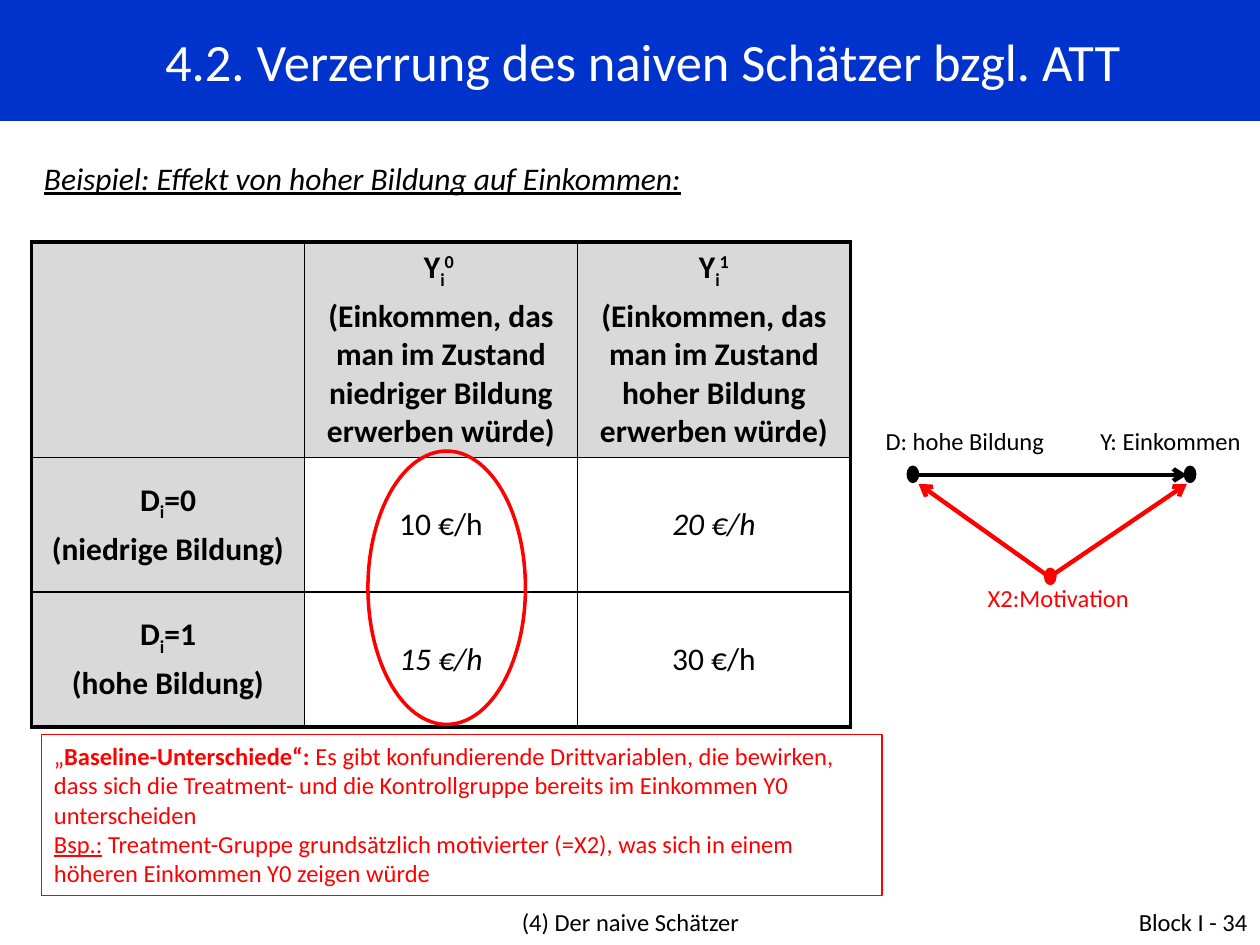
from dataclasses import dataclass, field

from lxml.etree import SubElement
from pptx import Presentation
from pptx.dml.color import RGBColor
from pptx.enum.shapes import MSO_CONNECTOR, MSO_SHAPE
from pptx.enum.text import MSO_ANCHOR, MSO_AUTO_SIZE, PP_ALIGN
from pptx.oxml.ns import qn
from pptx.util import Inches, Pt

BLACK, RED, BLUE, GREY, WHITE = "000000", "FF0000", "0033CC", "D9D9D9", "FFFFFF"
LEFT, MID, RIGHT = PP_ALIGN.LEFT, PP_ALIGN.CENTER, PP_ALIGN.RIGHT
BOLD, ITAL, UNDER = {"bold": True}, {"italic": True}, {"underline": True}
SUB, SUP = {"base": -25}, {"base": 30}

Run = tuple[str, dict]
Para = list[Run]


@dataclass
class Style:
    size: float = 14
    color: str = BLACK
    align: PP_ALIGN = LEFT
    before: int = 0
    font: dict = field(default_factory=dict)


@dataclass
class Label:
    box: tuple[float, float, float, float]
    paras: list[Para]
    style: Style
    grow: bool = True


@dataclass
class Dot:
    left: float
    top: float
    color: str


@dataclass
class Arrow:
    start: tuple[float, float]
    end: tuple[float, float]
    color: str


def rgb(code: str) -> RGBColor:
    return RGBColor.from_string(code)


def write(frame, paras: list[Para], style: Style) -> None:
    """Fill a text frame; 'base' in a run's format is its baseline shift in percent."""
    for num, runs in enumerate(paras):
        para = frame.add_paragraph() if num else frame.paragraphs[0]
        para.alignment = style.align
        if style.before:
            gap = SubElement(para._p.get_or_add_pPr(), qn("a:spcBef"))
            SubElement(gap, qn("a:spcPct"), val=str(style.before * 1000))
        for text, extra in runs:
            run = para.add_run()
            run.text = text
            run.font.color.rgb = rgb(style.color)
            look = {"name": "Calibri", "size": Pt(style.size)} | style.font | extra
            base = look.pop("base", 0)
            for key, val in look.items():
                setattr(run.font, key, val)
            if base:
                run.font._element.set("baseline", str(base * 1000))


def add_label(slide, label: Label) -> None:
    frame = slide.shapes.add_textbox(*map(Inches, label.box)).text_frame
    frame.word_wrap = True
    frame.auto_size = MSO_AUTO_SIZE.SHAPE_TO_FIT_TEXT if label.grow else MSO_AUTO_SIZE.NONE
    write(frame, label.paras, label.style)


def add_form(slide, kind, box, fill=None, line=None, width=0.75):
    form = slide.shapes.add_shape(kind, *map(Inches, box))
    form.shadow.inherit = False
    if fill:
        form.fill.solid()
        form.fill.fore_color.rgb = rgb(fill)
    else:
        form.fill.background()
    if line:
        form.line.color.rgb = rgb(line)
        form.line.width = Pt(width)
    else:
        form.line.fill.background()
    return form


def add_arrow(slide, arrow: Arrow) -> None:
    ends = map(Inches, arrow.start + arrow.end)
    link = slide.shapes.add_connector(MSO_CONNECTOR.STRAIGHT, *ends)
    link.line.color.rgb = rgb(arrow.color)
    link.line.width = Pt(2.5)
    SubElement(link.line._get_or_add_ln(), qn("a:tailEnd"), type="arrow")
    SubElement(link._element.spPr, qn("a:effectLst"))


def add_edges(cell, row: int, col: int, last: int) -> None:
    """Draw the four borders of a cell, thick on the outside of the table."""
    outer = {"L": col == 0, "R": col == last, "T": row == 0, "B": row == last}
    props = cell._tc.get_or_add_tcPr()
    for spot, (side, thick) in enumerate(outer.items()):
        edge = SubElement(props, qn(f"a:ln{side}"), w=str(Pt(2.25 if thick else 1)))
        fill = SubElement(edge, qn("a:solidFill"))
        SubElement(fill, qn("a:srgbClr"), val=BLACK)
        props.insert(spot, edge)


def add_grid(slide, rows: list[list[list[Para]]]) -> None:
    box = map(Inches, (0.25, 1.92, 6.5, 3.67))
    grid = slide.shapes.add_table(len(rows), len(rows[0]), *box).table
    grid.first_row = grid.horz_banding = False
    for line, high in zip(grid.rows, (1.53, 1.07, 1.07)):
        line.height = Inches(high)
    for row, cells in enumerate(rows):
        for col, paras in enumerate(cells):
            cell = grid.cell(row, col)
            head = row == 0 or col == 0
            cell.vertical_anchor = MSO_ANCHOR.MIDDLE
            if head:
                cell.fill.solid()
                cell.fill.fore_color.rgb = rgb(GREY)
            else:
                cell.fill.background()
            add_edges(cell, row, col, len(rows) - 1)
            write(cell.text_frame, paras, Style(18, BLACK, MID, 20, {"bold": head}))


def income(level: str, sup: str) -> list[Para]:
    note = f"(Einkommen, das man im Zustand {level} Bildung erwerben würde)"
    return [[("Y", {}), ("i", SUB), (sup, SUP)], [(note, {})]]


def group(num: int, level: str) -> list[Para]:
    return [[("D", {}), ("i", SUB), (f"={num}", {})], [(f"({level} Bildung)", {})]]


def wage(euro: int, look: dict) -> list[Para]:
    return [[(f"{euro} €/h", look)]]


ROWS = [
    [[], income("niedriger", "0 "), income("hoher", "1")],
    [group(0, "niedrige"), wage(10, {}), wage(20, ITAL)],
    [group(1, "hohe"), wage(15, ITAL), wage(30, {})],
]
NOTE = [
    [("„", {}), ("Baseline-Unterschiede“: ", BOLD),
     ("Es gibt konfundierende Drittvariablen, die bewirken, dass sich die Treatment- und die "
      "Kontrollgruppe bereits im Einkommen Y0 unterscheiden", {})],
    [("Bsp.:", UNDER),
     (" Treatment-Gruppe grundsätzlich motivierter (=X2), was sich in einem höheren "
      "Einkommen Y0 zeigen würde", {})],
]
LABELS = [
    Label((0.25, 1.21, 8.75, 0.4), [[("Beispiel: Effekt von hoher Bildung auf Einkommen:", {})]],
          Style(18, before=20, font=ITAL | UNDER)),
    Label((6.93, 3.33, 1.82, 0.34), [[("D: hohe Bildung", {})]], Style(before=50)),
    Label((8.58, 3.33, 1.42, 0.34), [[("Y: Einkommen", {})]], Style(align=MID, before=50)),
    Label((7.33, 4.58, 2.14, 0.34), [[("X2:Motivation", {})]], Style(14, RED, MID, 50)),
    Label((2.42, 7.15, 5.17, 0.52), [[("(4) Der naive Schätzer", {})]], Style(align=MID), False),
    Label((7.67, 7.15, 2.33, 0.52), [[("Block I - 34", {})]], Style(align=RIGHT), False),
]
DOTS = [Dot(7.2, 3.7, BLACK), Dot(9.4, 3.7, BLACK), Dot(8.29, 4.51, RED)]
ARROWS = [
    Arrow((7.24, 3.77), (9.42, 3.77), BLACK),
    Arrow((8.33, 4.58), (9.42, 3.84), RED),
    Arrow((8.33, 4.58), (7.29, 3.84), RED),
]


def add_title(slide, text: str) -> None:
    frame = add_form(slide, MSO_SHAPE.RECTANGLE, (0, 0, 10, 0.96), BLUE).text_frame
    frame.word_wrap = True
    frame.vertical_anchor = MSO_ANCHOR.MIDDLE
    write(frame, [[(text, {})]], Style(30, WHITE, MID))
    props = frame.paragraphs[0]._p.get_or_add_pPr()
    for key, val in {"marL": 0.52, "indent": -0.31}.items():
        props.set(key, str(Inches(val)))


def main() -> None:
    deck = Presentation()
    deck.slide_width, deck.slide_height = Inches(10), Inches(7.5)
    slide = deck.slides.add_slide(deck.slide_layouts[6])
    add_grid(slide, ROWS)
    add_form(slide, MSO_SHAPE.OVAL, (2.92, 3.58, 1.25, 2.17), line=RED, width=2)
    note = add_form(slide, MSO_SHAPE.RECTANGLE, (0.33, 5.83, 6.67, 1.28), line=RED).text_frame
    note.word_wrap = True
    note.vertical_anchor = MSO_ANCHOR.TOP
    note.auto_size = MSO_AUTO_SIZE.SHAPE_TO_FIT_TEXT
    write(note, NOTE, Style(14, RED))
    for label in LABELS:
        add_label(slide, label)
    for arrow in ARROWS:
        add_arrow(slide, arrow)
    for dot in DOTS:
        add_form(slide, MSO_SHAPE.OVAL, (dot.left, dot.top, 0.09, 0.13), dot.color, dot.color)
    add_title(slide, "4.2. Verzerrung des naiven Schätzer bzgl. ATT")
    deck.save("out.pptx")


if __name__ == "__main__":
    main()
